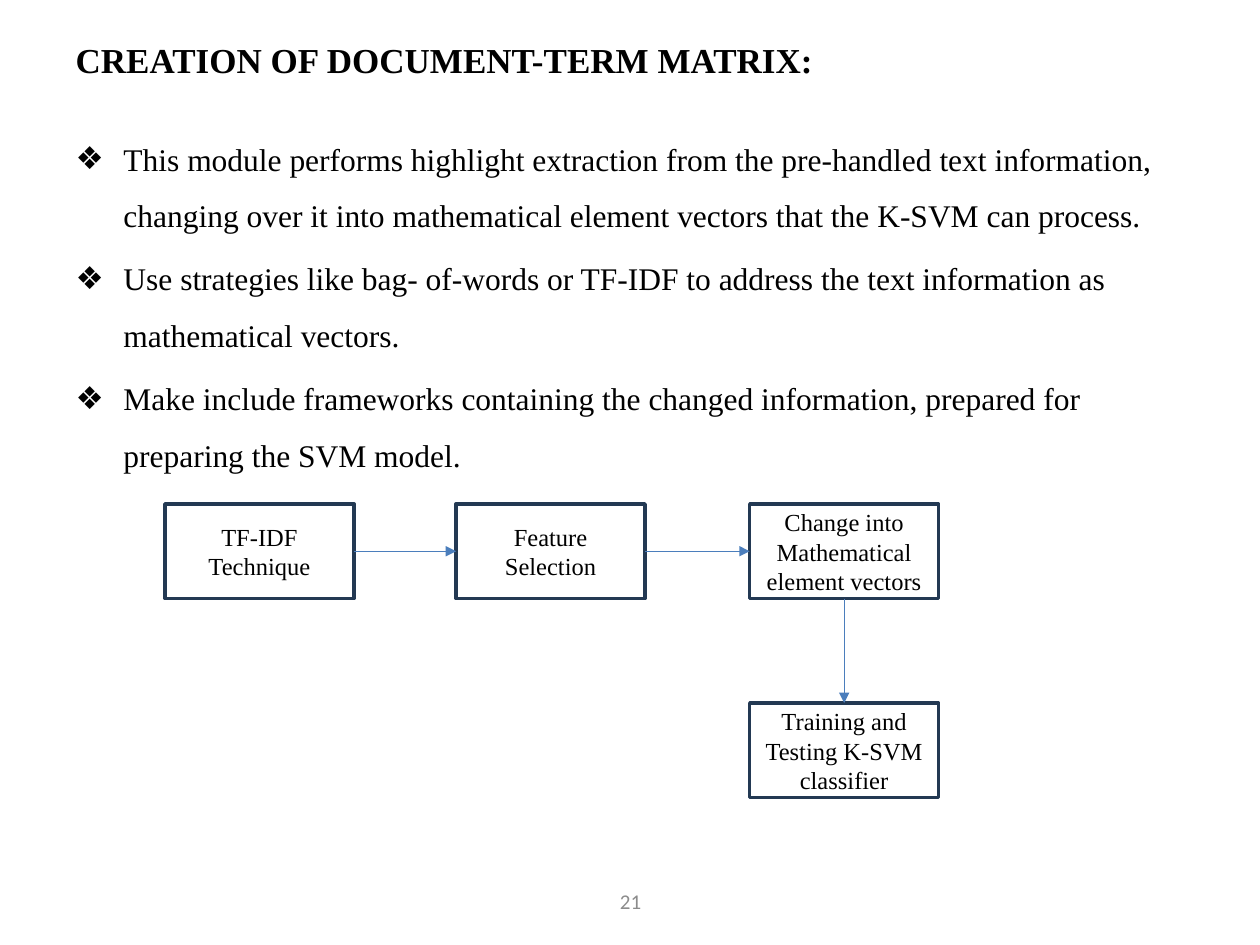
from lxml.etree import SubElement
from pptx import Presentation
from pptx.dml.color import RGBColor
from pptx.enum.shapes import MSO_CONNECTOR, MSO_SHAPE
from pptx.enum.text import MSO_ANCHOR, MSO_AUTO_SIZE, PP_ALIGN
from pptx.oxml.ns import qn
from pptx.util import Inches, Pt

TITLE = "CREATION OF DOCUMENT-TERM MATRIX:"
POINTS = [
    "This module performs highlight extraction from the pre-handled text information, "
    "changing over it into mathematical element vectors that the K-SVM can process.",
    "Use strategies like bag- of-words or TF-IDF to address the text information as "
    "mathematical vectors.",
    "Make include frameworks containing the changed information, prepared for "
    "preparing the SVM model.",
]
STEPS = [
    ("TF-IDF Technique", 1.31, 4),
    ("Feature Selection", 3.62, 4),
    ("Change into Mathematical element vectors", 5.95, 4),
    ("Training and Testing K-SVM classifier", 5.95, 5.58),
]
RIGHT, DOWN = (3, 1), (2, 0)
LINKS = [(0, 1, RIGHT), (1, 2, RIGHT), (2, 3, DOWN)]
NUMBER = "21"

THEME = {
    "serif": "Times New Roman", "sans": "Calibri",
    "ink": "000000", "gray": "8C8C8C", "paper": "FFFFFF",
    "edge": "233953", "arrow": "4B7EBC",
    "title": 20, "body": 18, "step": 14, "number": 12,
}
BOX = (1.5, 0.75)


def color(name):
    return RGBColor.from_string(THEME[name])


def place(shape, left, top, width, height):
    shape.left, shape.top = Inches(left), Inches(top)
    shape.width, shape.height = Inches(width), Inches(height)


def frame(shape, anchor):
    text = shape.text_frame
    text.word_wrap = True
    text.auto_size = MSO_AUTO_SIZE.NONE
    text.vertical_anchor = anchor
    return text


def write(para, words, size, align, font="serif", ink="ink", bold=False):
    para.alignment = align
    run = para.add_run()
    run.text = words
    run.font.name = THEME[font]
    run.font.size = Pt(THEME[size])
    run.font.color.rgb = color(ink)
    run.font.bold = bold


def bullet(para):
    props = para._p.get_or_add_pPr()
    props.set("marL", str(Inches(0.38)))
    props.set("indent", str(-Inches(0.38)))
    SubElement(props, qn("a:buFont"), typeface="Arial")
    SubElement(props, qn("a:buChar"), char="❖")


def add_title(slide):
    title = slide.shapes.title
    place(title, 0.5, 0.25, 9, 0.45)
    text = frame(title, MSO_ANCHOR.MIDDLE)
    write(text.paragraphs[0], TITLE, "title", PP_ALIGN.LEFT, bold=True)


def add_body(slide):
    body = slide.placeholders[1]
    place(body, 0.5, 0.9, 9, 2.91)
    text = frame(body, MSO_ANCHOR.BOTTOM)
    for i, point in enumerate(POINTS):
        para = text.add_paragraph() if i else text.paragraphs[0]
        para.line_spacing = 1.5
        para.space_before = Pt(3.6 if i else 0)
        bullet(para)
        write(para, point, "body", PP_ALIGN.LEFT)


def add_step(slide, words, left, top):
    step = slide.shapes.add_shape(
        MSO_SHAPE.RECTANGLE, Inches(left), Inches(top), *map(Inches, BOX))
    step.shadow.inherit = False
    step.fill.solid()
    step.fill.fore_color.rgb = color("paper")
    step.line.color.rgb = color("edge")
    step.line.width = Pt(2)
    text = frame(step, MSO_ANCHOR.MIDDLE)
    write(text.paragraphs[0], words, "step", PP_ALIGN.CENTER)
    return step


def add_link(slide, start, end, sites):
    link = slide.shapes.add_connector(MSO_CONNECTOR.STRAIGHT, 0, 0, 0, 0)
    link.begin_connect(start, sites[0])
    link.end_connect(end, sites[1])
    link.line.color.rgb = color("arrow")
    link.line.width = Pt(0.75)
    SubElement(link.line._get_or_add_ln(), qn("a:tailEnd"), type="triangle")
    SubElement(link._element.spPr, qn("a:effectLst"))


def add_number(slide):
    box = slide.shapes.add_textbox(
        Inches(3.42), Inches(6.95), Inches(3.17), Inches(0.4))
    text = frame(box, MSO_ANCHOR.MIDDLE)
    write(text.paragraphs[0], NUMBER, "number", PP_ALIGN.CENTER, "sans", "gray")


def main():
    deck = Presentation()
    deck.slide_width, deck.slide_height = Inches(10), Inches(7.5)
    slide = deck.slides.add_slide(deck.slide_layouts[1])
    add_title(slide)
    add_body(slide)
    steps = [add_step(slide, *step) for step in STEPS]
    for start, end, sites in LINKS:
        add_link(slide, steps[start], steps[end], sites)
    add_number(slide)
    deck.save("out.pptx")


if __name__ == "__main__":
    main()
